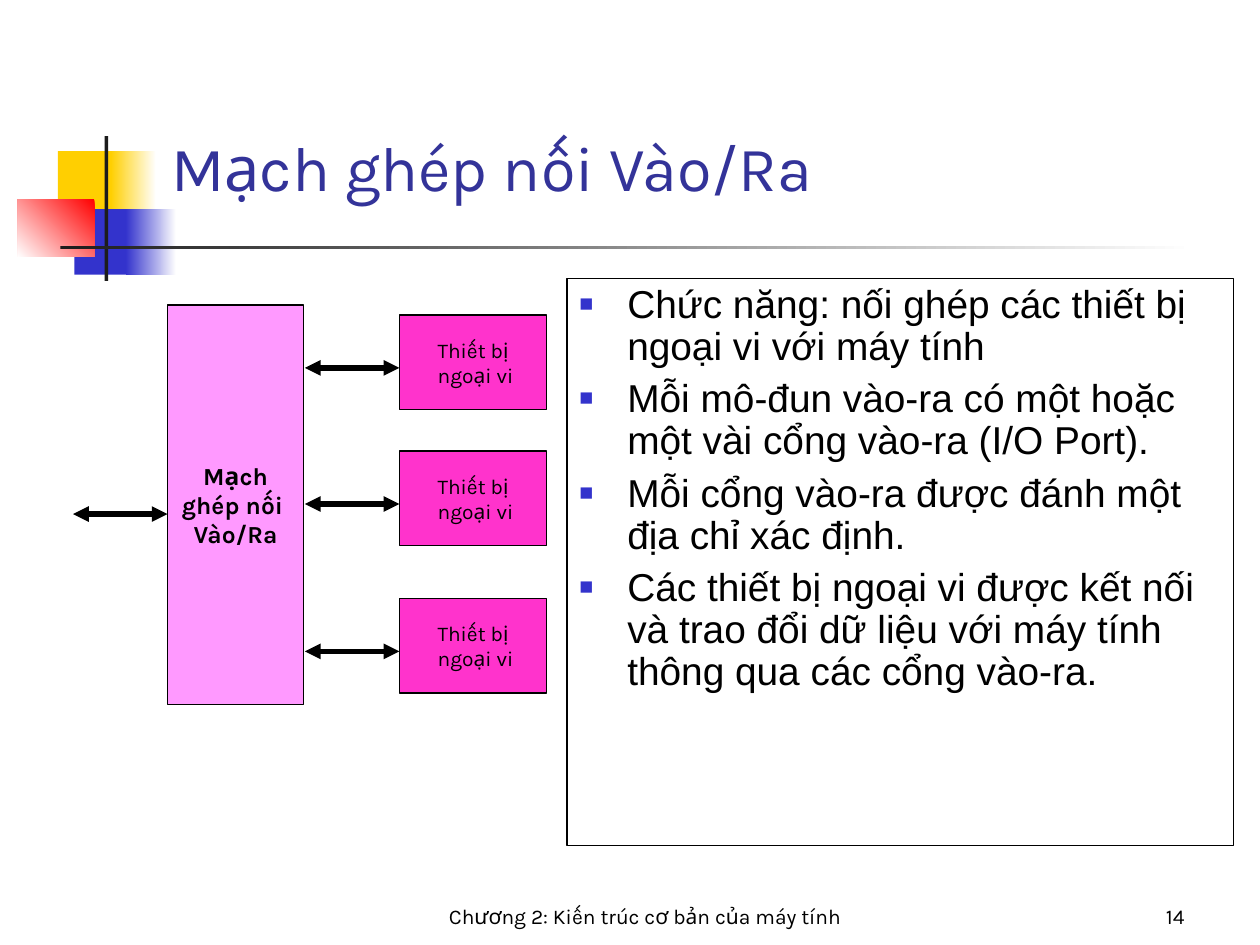
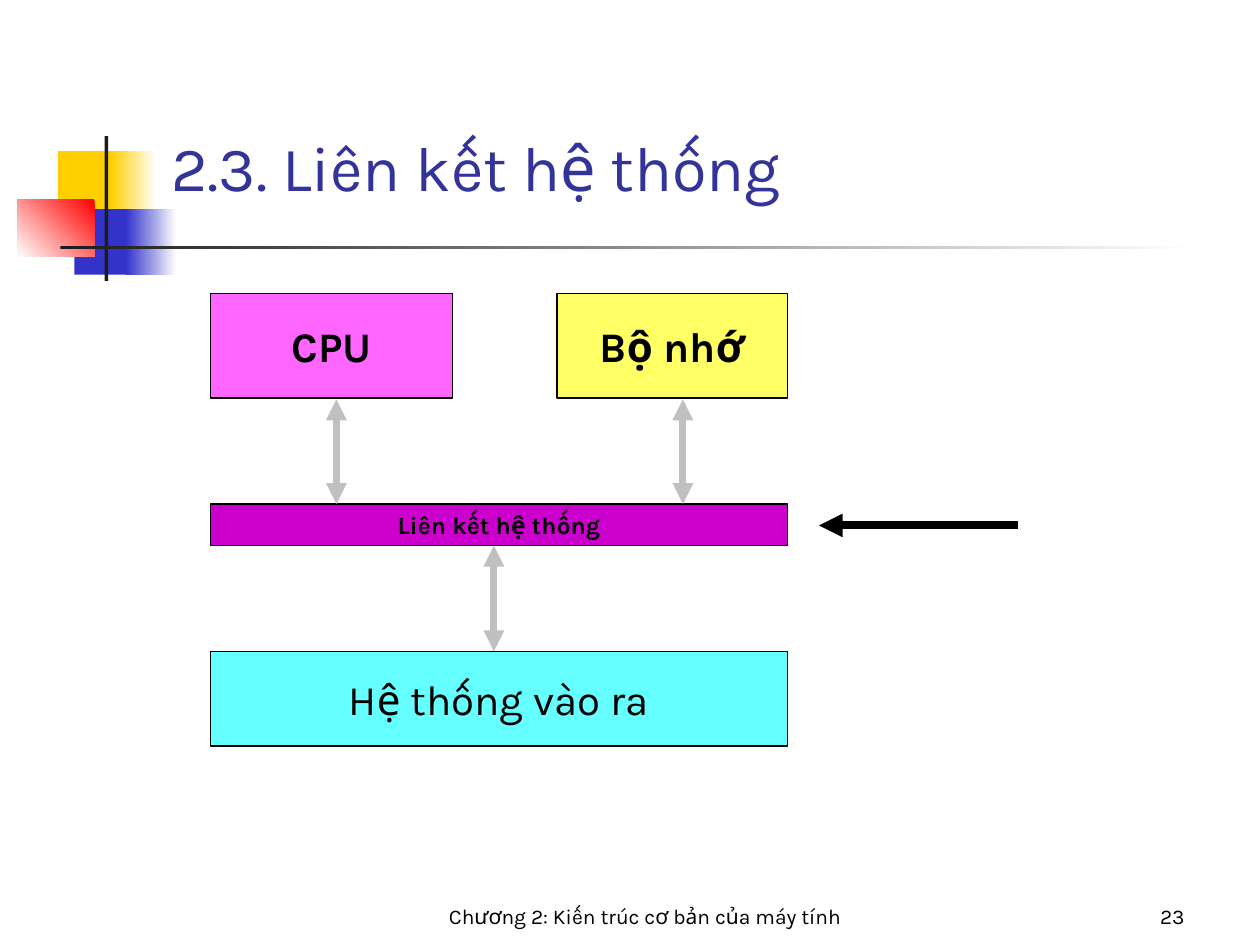
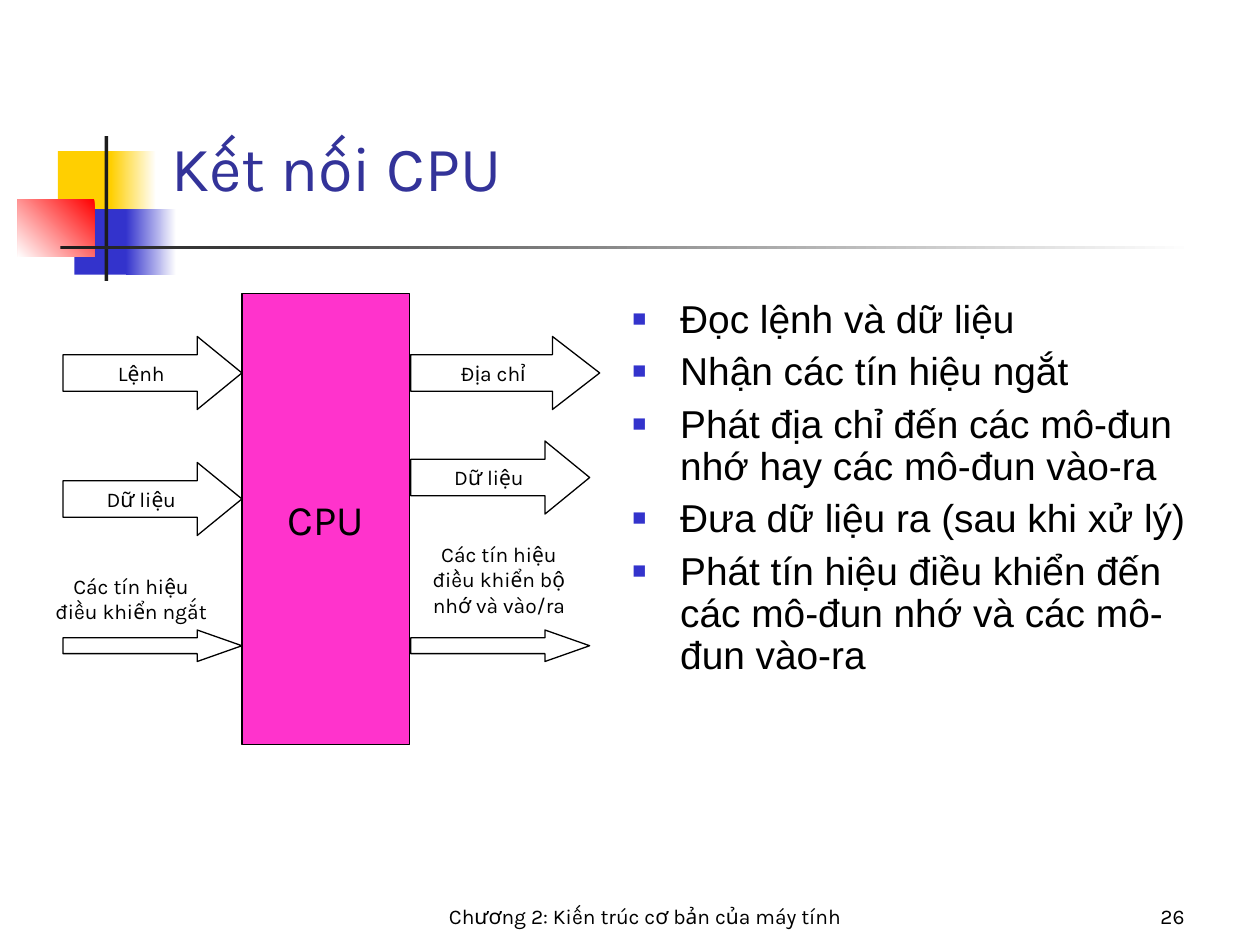
from lxml import etree
from pptx import Presentation
from pptx.dml.color import RGBColor
from pptx.enum.shapes import MSO_CONNECTOR, MSO_SHAPE
from pptx.enum.text import MSO_ANCHOR as Anchor, PP_ALIGN as Align
from pptx.oxml.ns import qn
from pptx.util import Inches, Pt

COLORS = {
    "white": "FFFFFF", "black": "000000", "ink": "1C1C1C", "title": "333399",
    "yellow": "FFCF01", "blue": "3333CC", "red": "FF0000", "gray": "C0C0C0",
    "pink": "FF99FF", "magenta": "FF33CC", "orchid": "FF66FF",
    "lemon": "FFFF66", "cyan": "66FFFF", "purple": "CC00CC",
}
HEADING_FONT, BODY_FONT = "Karla", "Arial"
FOOTER = "Chương 2: Kiến trúc cơ bản của máy tính"

# box, fill colour or (first colour, last colour, angle)
DECORATION = [
    ((0.46, 1.2, 0.48, 0.52), "yellow"),
    ((0.88, 1.2, 0.36, 0.52), ("yellow", "white", 0)),
    ((0.59, 1.66, 0.46, 0.52), "blue"),
    ((1, 1.66, 0.4, 0.52), ("blue", "white", 0)),
    ((0.14, 1.58, 0.61, 0.46), ("red", "white", 225)),
    ((0.83, 1.08, 0.03, 1.15), "ink"),
    ((0.48, 1.95, 9, 0.03), ("ink", "white", 0)),
]

IO_POINTS = [
    "Chức năng: nối ghép các thiết bị ngoại vi với máy tính",
    "Mỗi mô-đun vào-ra có một hoặc một vài cổng vào-ra (I/O Port).",
    "Mỗi cổng vào-ra được đánh một địa chỉ xác định.",
    "Các thiết bị ngoại vi được kết nối và trao đổi dữ liệu với máy tính "
    "thông qua các cổng vào-ra.",
]
IO_CIRCUIT = ["Mạch", "ghép nối ", "Vào/Ra"]
DEVICE = ["Thiết bị", " ngoại vi"]
DEVICE_TOPS = [2.5, 3.58, 4.75]

# text, box, fill, size, bold
SYSTEM_BLOCKS = [
    ("CPU", (1.67, 2.33, 1.92, 0.83), "orchid", 24, True),
    ("Bộ nhớ", (4.42, 2.33, 1.83, 0.83), "lemon", 24, True),
    ("Hệ thống vào ra", (1.67, 5.17, 4.58, 0.75), "cyan", 24, False),
    ("Liên kết hệ thống", (1.67, 4, 4.58, 0.33), "purple", 14, True),
]
# x, top, bottom
SYSTEM_LINKS = [(2.67, 3.17, 4), (5.42, 3.17, 4), (3.92, 4.33, 5.17)]

CPU_POINTS = [
    "Đọc lệnh và dữ liệu",
    "Nhận các tín hiệu ngắt",
    "Phát địa chỉ đến các mô-đun nhớ hay các mô-đun vào-ra",
    "Đưa dữ liệu ra (sau khi xử lý)",
    "Phát tín hiệu điều khiển đến các mô-đun nhớ và các mô-đun vào-ra",
]
SIGNALS = [
    ("Lệnh", (0.5, 2.67, 1.42, 0.58)),
    ("Dữ liệu", (0.5, 3.67, 1.42, 0.58)),
    ("", (0.5, 5, 1.42, 0.25)),
    ("Địa chỉ", (3.26, 2.67, 1.5, 0.58)),
    ("Dữ liệu", (3.26, 3.5, 1.42, 0.58)),
    ("", (3.26, 5, 1.42, 0.25)),
]
SIGNAL_LABELS = [
    ("Các tín hiệu điều khiển ngắt", (0.33, 4.5, 1.42, 0.7)),
    ("Các tín hiệu điều khiển bộ nhớ và vào/ra", (3.25, 4.25, 1.42, 0.7)),
]


def rgb(name):
    return RGBColor.from_string(COLORS[name])


def inches(values):
    return [Inches(value) for value in values]


def write(shape, lines, size, color="black", bold=False, font=HEADING_FONT,
          align=Align.LEFT, anchor=Anchor.TOP, wrap=True):
    """Put one paragraph per line into the shape and return the paragraphs."""
    frame = shape.text_frame
    frame.word_wrap = wrap
    frame.vertical_anchor = anchor
    for index, line in enumerate(lines):
        paragraph = frame.add_paragraph() if index else frame.paragraphs[0]
        paragraph.alignment = align
        run = paragraph.add_run()
        run.text = line
        run.font.size = Pt(size)
        run.font.name = font
        run.font.bold = bold
        run.font.color.rgb = rgb(color)
    return frame.paragraphs


def add_text(slide, box, text, size, **style):
    return write(slide.shapes.add_textbox(*inches(box)), [text], size, **style)


def add_block(slide, box, fill, lines=(), size=12, bold=False, kind=MSO_SHAPE.RECTANGLE):
    """Add an outlined shape with centred text."""
    shape = slide.shapes.add_shape(kind, *inches(box))
    shape.shadow.inherit = False
    shape.fill.solid()
    shape.fill.fore_color.rgb = rgb(fill)
    shape.line.color.rgb = rgb("black")
    shape.line.width = Pt(0.75)
    if lines:
        write(shape, lines, size, bold=bold, align=Align.CENTER,
              anchor=Anchor.MIDDLE, wrap=False)
    return shape


def add_signal(slide, text, box):
    """Add a block arrow whose head takes a quarter of its width."""
    arrow = add_block(slide, box, "white", [text] if text else (),
                      kind=MSO_SHAPE.RIGHT_ARROW)
    width, height = box[2:]
    arrow.adjustments[1] = width / 4 / height


def add_arrow(slide, start, end, color="black", width=3, both=True):
    line = slide.shapes.add_connector(MSO_CONNECTOR.STRAIGHT, *inches(start + end))
    line.line.color.rgb = rgb(color)
    line.line.width = Pt(width)
    outline = line.line._get_or_add_ln()
    for tag in ("a:headEnd", "a:tailEnd") if both else ("a:tailEnd",):
        etree.SubElement(outline, qn(tag), type="triangle")
    etree.SubElement(line._element.spPr, qn("a:effectLst"))


def add_bullets(slide, box, points):
    shape = slide.shapes.add_textbox(*inches(box))
    for paragraph in write(shape, points, 22.2, font=BODY_FONT):
        paragraph.line_spacing = 0.9
        paragraph.space_before = Pt(6)
        properties = paragraph._p.get_or_add_pPr()
        properties.set("marL", str(Inches(0.38)))
        properties.set("indent", str(-Inches(0.38)))
        color = etree.SubElement(properties, qn("a:buClr"))
        etree.SubElement(color, qn("a:srgbClr"), val=COLORS["blue"])
        etree.SubElement(properties, qn("a:buSzPct"), val="60000")
        etree.SubElement(properties, qn("a:buFont"), typeface=BODY_FONT)
        etree.SubElement(properties, qn("a:buChar"), char="■")
    return shape


def add_decoration(slide):
    for box, fill in DECORATION:
        shape = slide.shapes.add_shape(MSO_SHAPE.RECTANGLE, *inches(box))
        shape.shadow.inherit = False
        shape.line.fill.background()
        if isinstance(fill, str):
            shape.fill.solid()
            shape.fill.fore_color.rgb = rgb(fill)
            continue
        *stop_colors, angle = fill
        shape.fill.gradient()
        shape.fill.gradient_angle = angle
        for stop, color in zip(shape.fill.gradient_stops, stop_colors):
            stop.color.rgb = rgb(color)


def add_slide(presentation, title, number):
    """Add a slide with the shared decoration, title and footer."""
    slide = presentation.slides.add_slide(presentation.slide_layouts[6])
    add_decoration(slide)
    add_text(slide, (1.26, 1, 8.52, 0.67), title, 36, color="title", anchor=Anchor.BOTTOM)
    add_text(slide, (2.08, 6.92, 6.08, 0.5), FOOTER, 12,
             align=Align.CENTER, anchor=Anchor.BOTTOM)
    add_text(slide, (8.33, 6.92, 1.17, 0.5), str(number), 12,
             align=Align.RIGHT, anchor=Anchor.BOTTOM)
    return slide


def build_io_circuit(presentation):
    slide = add_slide(presentation, "Mạch ghép nối Vào/Ra", 14)
    frame = add_bullets(slide, (4.5, 2.21, 5.29, 4.5), IO_POINTS)
    frame.line.color.rgb = rgb("black")
    frame.line.width = Pt(0.75)
    add_arrow(slide, (1.33, 4.08), (0.58, 4.08))
    add_block(slide, (1.33, 2.42, 1.08, 3.17), "pink", IO_CIRCUIT, 14, True)
    for top in DEVICE_TOPS:
        add_block(slide, (3.17, top, 1.17, 0.75), "magenta", DEVICE)
        add_arrow(slide, (3.17, top + 0.42), (2.42, top + 0.42))


def build_system_links(presentation):
    slide = add_slide(presentation, "2.3. Liên kết hệ thống", 23)
    for text, box, fill, size, bold in SYSTEM_BLOCKS:
        add_block(slide, box, fill, [text], size, bold)
    for x, top, bottom in SYSTEM_LINKS:
        add_arrow(slide, (x, top), (x, bottom), "gray", 4)
    add_arrow(slide, (8.08, 4.17), (6.5, 4.17), width=4.5, both=False)


def build_cpu_connections(presentation):
    slide = add_slide(presentation, "Kết nối CPU", 26)
    add_bullets(slide, (4.92, 2.33, 4.88, 4.37), CPU_POINTS)
    add_block(slide, (1.92, 2.33, 1.33, 3.58), "magenta", ["CPU"], 24)
    for text, box in SIGNALS:
        add_signal(slide, text, box)
    for text, box in SIGNAL_LABELS:
        for paragraph in add_text(slide, box, text, 12, align=Align.CENTER):
            paragraph.space_before = Pt(7.5)


def main():
    presentation = Presentation()
    presentation.slide_width = Inches(10)
    presentation.slide_height = Inches(7.5)
    build_io_circuit(presentation)
    build_system_links(presentation)
    build_cpu_connections(presentation)
    presentation.save("out.pptx")


if __name__ == "__main__":
    main()
